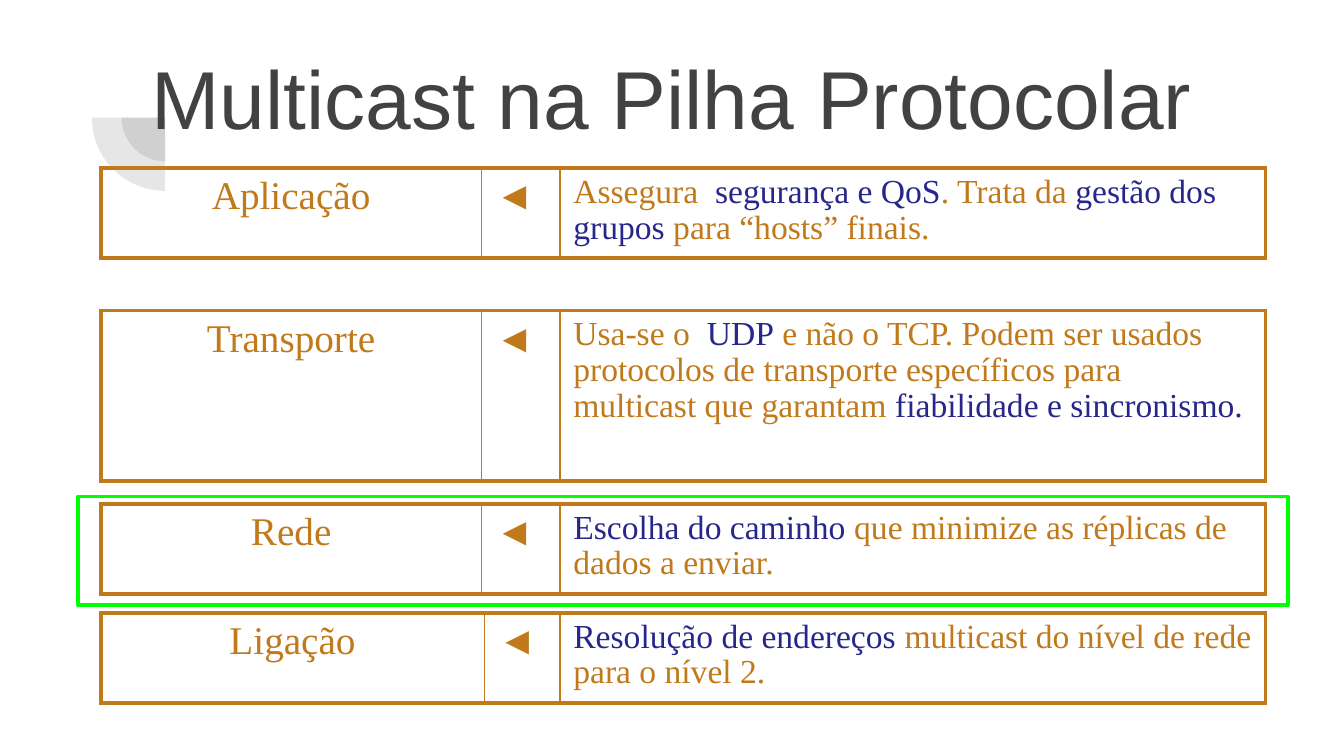
"""Builds the slide on multicast across the layers of the protocol stack."""
from lxml import etree
from pptx import Presentation
from pptx import util as u
from pptx.dml.color import RGBColor
from pptx.enum import shapes, text
from pptx.oxml import ns

GREY, OCHRE, NAVY, GREEN = "424242", "C0791B", "27278B", "00FF00"
TITLE = "Multicast na Pilha Protocolar"
LAYERS = [
    {"name": "Aplicação", "top": 90, "height": 48.24, "divider": 204,
     "role": [("Assegura  ", OCHRE), ("segurança e QoS", NAVY), (". Trata da ", OCHRE),
              ("gestão dos grupos", NAVY), (" para “hosts” finais.", OCHRE)]},
    {"name": "Transporte", "top": 166.3, "height": 91.4, "divider": 204,
     "role": [("Usa-se o  ", OCHRE), ("UDP", NAVY),
              (" e não o TCP. Podem ser usados protocolos de transporte específicos"
               " para multicast que garantam ", OCHRE),
              ("fiabilidade e sincronismo.", NAVY)]},
    {"name": "Rede", "top": 270, "height": 48.24, "divider": 204,
     "role": [("Escolha do caminho", NAVY),
              (" que minimize as réplicas de dados a enviar.", OCHRE)]},
    {"name": "Ligação", "top": 328.3, "height": 48.24, "divider": 205.5,
     "role": [("Resolução de endereços", NAVY),
              (" multicast do nível de rede para o nível 2.", OCHRE)]},
]
LEFT, WIDTH, ROLE_WIDTH = 54, 624, 378
THICK, THIN = 2.21, 0.96
PIE_CENTER, PIE_SIZES = (88.5, 63), (46.8, 78.5)
HIGHLIGHT = (42, 266, 648, 58.2)


def color(value):
    return RGBColor.from_string(value)


def box(*lengths):
    return [u.Pt(length) for length in lengths]


def write(frame, runs, size, font, align=text.PP_ALIGN.LEFT, spacing=None):
    paragraph = frame.paragraphs[0]
    paragraph.alignment = align
    paragraph.line_spacing = spacing
    for words, hue in runs:
        run = paragraph.add_run()
        run.text = words
        run.font.size = u.Pt(size)
        run.font.name = font
        run.font.color.rgb = color(hue)


def add_pie(slide, size):
    x, y = PIE_CENTER
    pie = slide.shapes.add_shape(shapes.MSO_SHAPE.PIE,
                                 *box(x - size / 2, y - size / 2, size, size))
    pie.adjustments[0], pie.adjustments[1] = 108, 162
    pie.rotation = 270
    pie.shadow.inherit = False
    pie.line.fill.background()
    pie.fill.solid()
    pie.fill.fore_color.rgb = color(GREY)
    hue = pie.fill._xPr.find(".//" + ns.qn("a:srgbClr"))
    etree.SubElement(hue, ns.qn("a:alpha"), val="13000")


def set_borders(cell, widths):
    properties = cell._tc.get_or_add_tcPr()
    for index, (side, width) in enumerate(zip("LRTB", widths)):
        line = etree.Element(ns.qn(f"a:ln{side}"), w=str(u.Pt(width)))
        fill = etree.SubElement(line, ns.qn("a:solidFill"))
        etree.SubElement(fill, ns.qn("a:srgbClr"), val=OCHRE)
        properties.insert(index, line)


def add_layer(slide, layer):
    table = slide.shapes.add_table(
        1, 3, *box(LEFT, layer["top"], WIDTH, layer["height"])).table
    table.first_row = table.horz_banding = False
    widths = (layer["divider"], WIDTH - ROLE_WIDTH - layer["divider"], ROLE_WIDTH)
    for column, width in zip(table.columns, widths):
        column.width = u.Pt(width)
    edges = (THICK, THIN, THIN, THICK)
    cells = list(table.rows[0].cells)
    for index, cell in enumerate(cells):
        cell.fill.background()
        set_borders(cell, (edges[index], edges[index + 1], THICK, THICK))
    name, arrow, role = (cell.text_frame for cell in cells)
    serif = "Times New Roman"
    write(name, [(layer["name"], OCHRE)], 21, serif, align=text.PP_ALIGN.CENTER)
    write(arrow, [("◄", OCHRE)], 21, serif)
    write(role, layer["role"], 18, serif, spacing=0.96)


def main():
    presentation = Presentation()
    presentation.slide_width, presentation.slide_height = box(720, 405)
    slide = presentation.slides.add_slide(presentation.slide_layouts[5])
    for size in PIE_SIZES:
        add_pie(slide, size)

    title = slide.shapes.title
    slide.shapes._spTree.append(title._element)
    title.left, title.top, title.width, title.height = box(54, 18, 612, 67.5)
    title.text_frame.vertical_anchor = text.MSO_ANCHOR.MIDDLE
    title.text_frame.auto_size = text.MSO_AUTO_SIZE.NONE
    write(title.text_frame, [(TITLE, GREY)], 44, "Arial", align=text.PP_ALIGN.CENTER)

    for layer in LAYERS:
        add_layer(slide, layer)

    highlight = slide.shapes.add_shape(shapes.MSO_SHAPE.RECTANGLE, *box(*HIGHLIGHT))
    highlight.shadow.inherit = False
    highlight.fill.background()
    highlight.line.color.rgb = color(GREEN)
    highlight.line.width = u.Pt(2)
    presentation.save("out.pptx")


if __name__ == "__main__":
    main()
